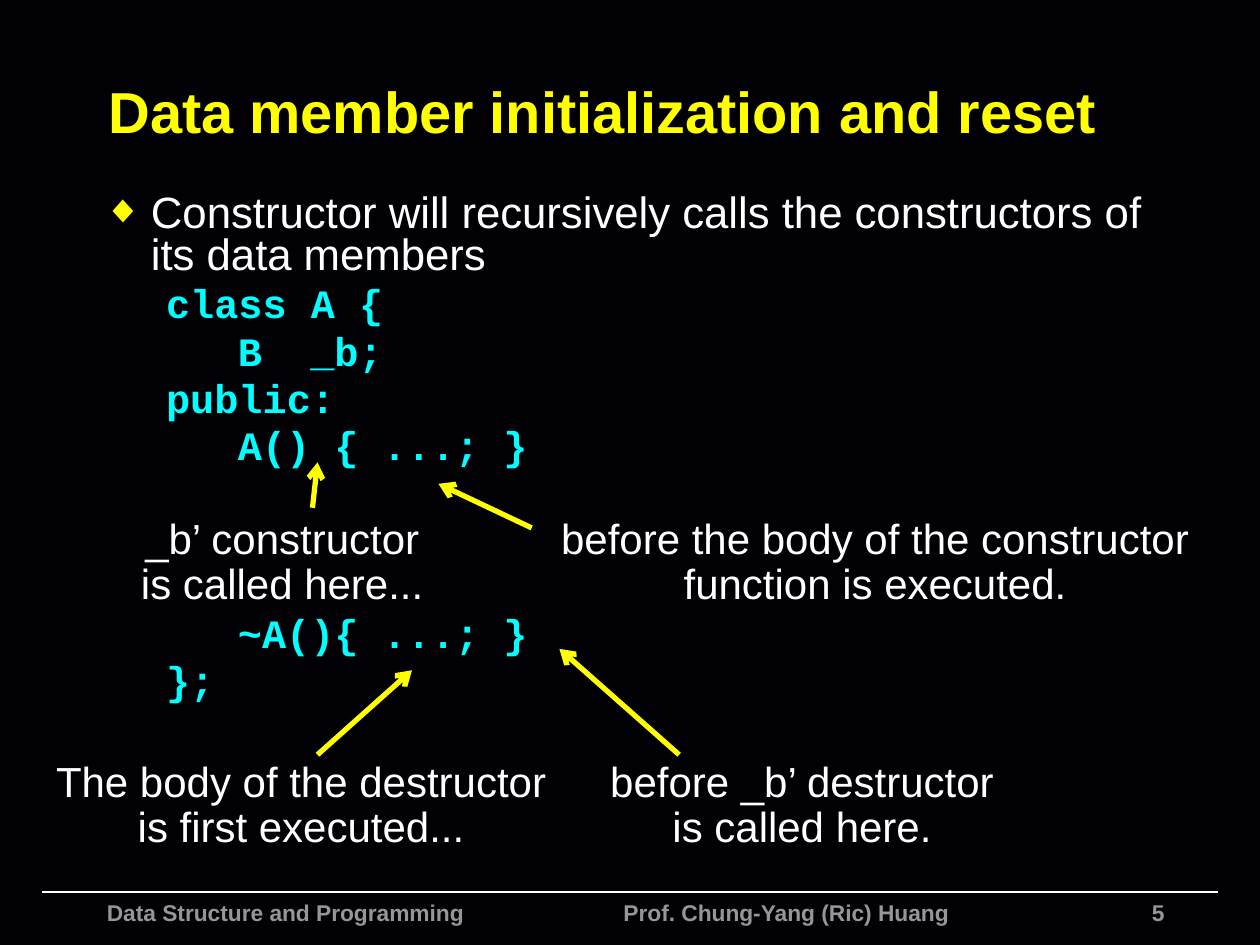
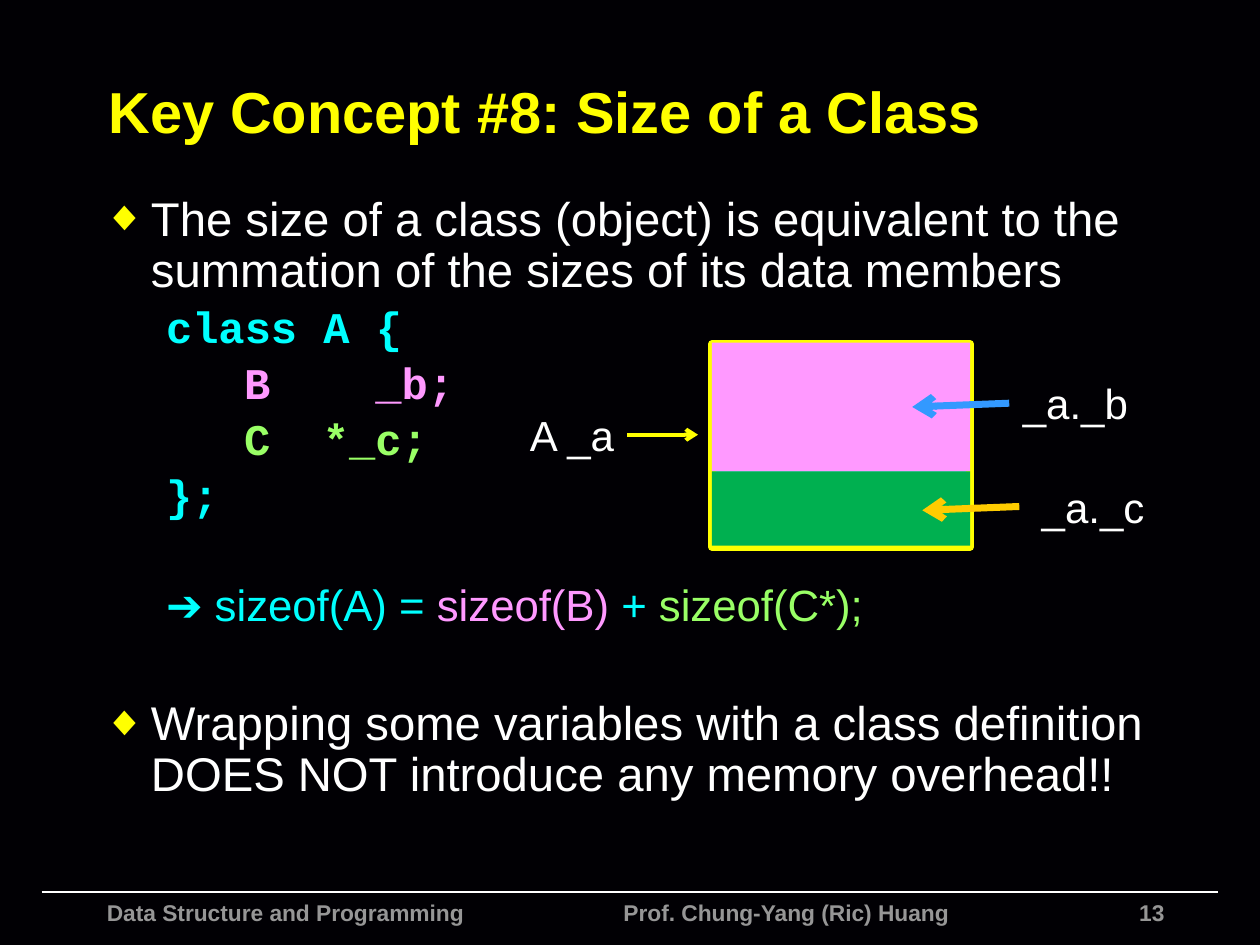
from pptx import Presentation
from pptx.dml.color import RGBColor
from pptx.enum import shapes, text
from pptx.oxml import ns, xmlchemy
from pptx.util import Inches, Pt

BLACK = RGBColor(0x01, 0x00, 0x04)
WHITE = RGBColor(0xFF, 0xFF, 0xFF)
GRAY = RGBColor(0x96, 0x96, 0x96)
YELLOW = RGBColor(0xFF, 0xFF, 0x00)
CYAN = RGBColor(0x00, 0xFF, 0xFF)
PINK = RGBColor(0xFF, 0x99, 0xFF)
LIME = RGBColor(0x99, 0xFF, 0x66)
GREEN = RGBColor(0x00, 0xB0, 0x50)
BLUE = RGBColor(0x33, 0x99, 0xFF)
GOLD = RGBColor(0xFF, 0xCC, 0x00)
PALE = RGBColor(0x99, 0xCC, 0xFF)

SANS, MONO = "Arial", "Courier New"
LEFT, MID, RIGHT = text.PP_ALIGN.LEFT, text.PP_ALIGN.CENTER, text.PP_ALIGN.RIGHT


def add_xml(parent, tag, **attrs):
    node = xmlchemy.OxmlElement(tag)
    for key, value in attrs.items():
        node.set(key, str(value))
    parent.append(node)
    return node


def add_run(para, words, size, color, font=SANS, bold=False):
    run = para.add_run()
    run.text = words
    run.font.name, run.font.size, run.font.bold = font, Pt(size), bold
    run.font.color.rgb = color


def add_box(slide, x, y, w, h, wrap=True):
    box = slide.shapes.add_textbox(Inches(x), Inches(y), Inches(w), Inches(h))
    box.text_frame.word_wrap = wrap
    return box.text_frame


def add_label(slide, words, x, y, w, h=0.51, wrap=False):
    para = add_box(slide, x, y, w, h, wrap).paragraphs[0]
    para.alignment = MID
    if wrap:
        para.line_spacing = 0.9
    add_run(para, words, 24, WHITE)


def add_line(slide, start, end, color, width, arrow=True):
    points = [Inches(n) for n in (*start, *end)]
    line = slide.shapes.add_connector(shapes.MSO_CONNECTOR.STRAIGHT, *points)
    line.line.color.rgb = color
    line.line.width = Pt(width)
    if arrow:
        add_xml(line.line._get_or_add_ln(), "a:tailEnd", type="arrow")
    add_xml(line._element.spPr, "a:effectLst")


def add_rect(slide, y, h, fill, border=None):
    rect = slide.shapes.add_shape(
        shapes.MSO_SHAPE.RECTANGLE, Inches(5.65), Inches(y), Inches(2.05), Inches(h))
    rect.shadow.inherit = False
    rect.fill.solid()
    rect.fill.fore_color.rgb = fill
    if border:
        rect.line.color.rgb = border
        rect.line.width = Pt(4.5)
        add_xml(rect.line._get_or_add_ln(), "a:round")
    else:
        rect.line.fill.background()


def add_foot(slide, number):
    add_line(slide, (0.33, 7.08), (9.67, 7.08), WHITE, 1, arrow=False)
    para = add_box(slide, 6.17, 7.08, 3.17, 0.18).paragraphs[0]
    para.alignment = RIGHT
    add_run(para, str(number), 13, GRAY, bold=True)
    para = add_box(slide, 0.75, 7.08, 7.24, 0.42).paragraphs[0]
    tabs = add_xml(para._p.get_or_add_pPr(), "a:tabLst")
    add_xml(tabs, "a:tab", pos=Inches(4.1), algn="l")
    add_run(para, "Data Structure and Programming\tProf. Chung-Yang (Ric) Huang",
            13, GRAY, bold=True)


def add_slide(deck, title, number):
    slide = deck.slides.add_slide(deck.slide_layouts[5])
    add_foot(slide, number)
    head = slide.shapes.title
    head.left, head.top = Inches(0.76), Inches(0.37)
    head.width, head.height = Inches(8.84), Inches(1.01)
    frame = head.text_frame
    frame.auto_size = text.MSO_AUTO_SIZE.NONE
    frame.vertical_anchor = text.MSO_ANCHOR.MIDDLE
    para = frame.paragraphs[0]
    para.alignment = LEFT
    add_run(para, title, 33, YELLOW, bold=True)
    return slide


class Body:
    def __init__(self, slide, size, spacing):
        self.frame = add_box(slide, 0.72, 1.5, 8.5, 5.17)
        self.size, self.spacing = size, spacing
        self.fresh = True

    def add_para(self, gap, margin, indent=0):
        para = self.frame.paragraphs[0] if self.fresh else self.frame.add_paragraph()
        self.fresh = False
        para.line_spacing, para.space_before = self.spacing, Pt(gap)
        props = para._p.get_or_add_pPr()
        props.set("marL", str(Inches(margin)))
        props.set("indent", str(Inches(indent)))
        return para

    def add_point(self, words, gap=5):
        para = self.add_para(gap, 0.38, -0.38)
        props = para._p.get_or_add_pPr()
        tint = add_xml(props, "a:buClr")
        add_xml(tint, "a:srgbClr", val=YELLOW)
        add_xml(props, "a:buSzPct", val=90000)
        add_xml(props, "a:buFont", typeface=SANS)
        add_xml(props, "a:buChar", char="\u25c6")
        add_run(para, words, self.size, WHITE)

    def add_code(self, words, color=CYAN, depth=0, gap=5):
        size = self.size - 2
        step = round(3 * 0.6 * size / 72, 2)
        para = self.add_para(gap, 0.5 + depth * step)
        add_run(para, words, size, color, MONO, True)

    def add_sum(self, parts, gap):
        para = self.add_para(gap, 0.5)
        for words, color in parts:
            add_run(para, words, self.size - 2, color)


def draw_reset(deck):
    slide = add_slide(deck, "Data member initialization and reset", 5)
    body = Body(slide, 25, 0.8)
    body.add_point("Constructor will recursively calls the constructors of its data members")
    body.add_code("class A {")
    body.add_code("B  _b;", depth=1)
    body.add_code("public:")
    body.add_code("A() { ...; }", depth=1)
    body.add_code("~A(){ ...; }", depth=1, gap=85)
    body.add_code("};")
    notes = [
        ("_b\u2019 constructor is called here...", 0.94, 4.06, 2.6, (2.48, 4.03), (2.52, 3.67)),
        ("before the body of the constructor function is executed.",
         4.25, 4.06, 5.39, (4.22, 4.19), (3.48, 3.84)),
        ("The body of the destructor is first executed...",
         0.34, 5.99, 4.1, (2.52, 5.99), (3.27, 5.32)),
        ("before _b\u2019 destructor is called here.",
         4.69, 5.99, 3.35, (5.39, 5.99), (4.44, 5.15)),
    ]
    for words, x, y, w, start, end in notes:
        add_label(slide, words, x, y, w, 0.83, wrap=True)
        add_line(slide, start, end, YELLOW, 3)


def draw_size(deck):
    slide = add_slide(deck, "Key Concept #8: Size of a Class", 13)
    body = Body(slide, 27, 0.9)
    body.add_point("The size of a class (object) is equivalent to the summation "
                   "of the sizes of its data members")
    body.add_code("class A {")
    body.add_code("B    _b;", PINK, depth=1)
    body.add_code("C  *_c;", LIME, depth=1)
    body.add_code("};")
    body.add_sum([("\u2794 sizeof(A) = ", CYAN), ("sizeof(B)", PINK),
                  (" + ", CYAN), ("sizeof(C*);", LIME)], gap=36)
    body.add_point("Wrapping some variables with a class definition "
                   "DOES NOT introduce any memory overhead!!", gap=39)
    add_rect(slide, 2.73, 1.61, PALE, YELLOW)
    add_rect(slide, 2.72, 1.02, PINK)
    add_rect(slide, 3.74, 0.59, GREEN)
    marks = [
        ("A _a", 4.1, 3.2, 0.88, (4.98, 3.45), (5.54, 3.45), YELLOW, 2.25),
        ("_a._b", 8.01, 2.95, 1.05, (8.01, 3.2), (7.24, 3.23), BLUE, 4),
        ("_a._c", 8.15, 3.77, 1.05, (8.09, 4.02), (7.32, 4.05), GOLD, 4),
    ]
    for words, x, y, w, start, end, color, width in marks:
        add_label(slide, words, x, y, w)
        add_line(slide, start, end, color, width)


def main():
    deck = Presentation()
    deck.slide_width, deck.slide_height = Inches(10), Inches(7.5)
    fill = deck.slide_master.background.fill
    fill.solid()
    fill.fore_color.rgb = BLACK
    draw_reset(deck)
    draw_size(deck)
    deck.save("out.pptx")


main()
